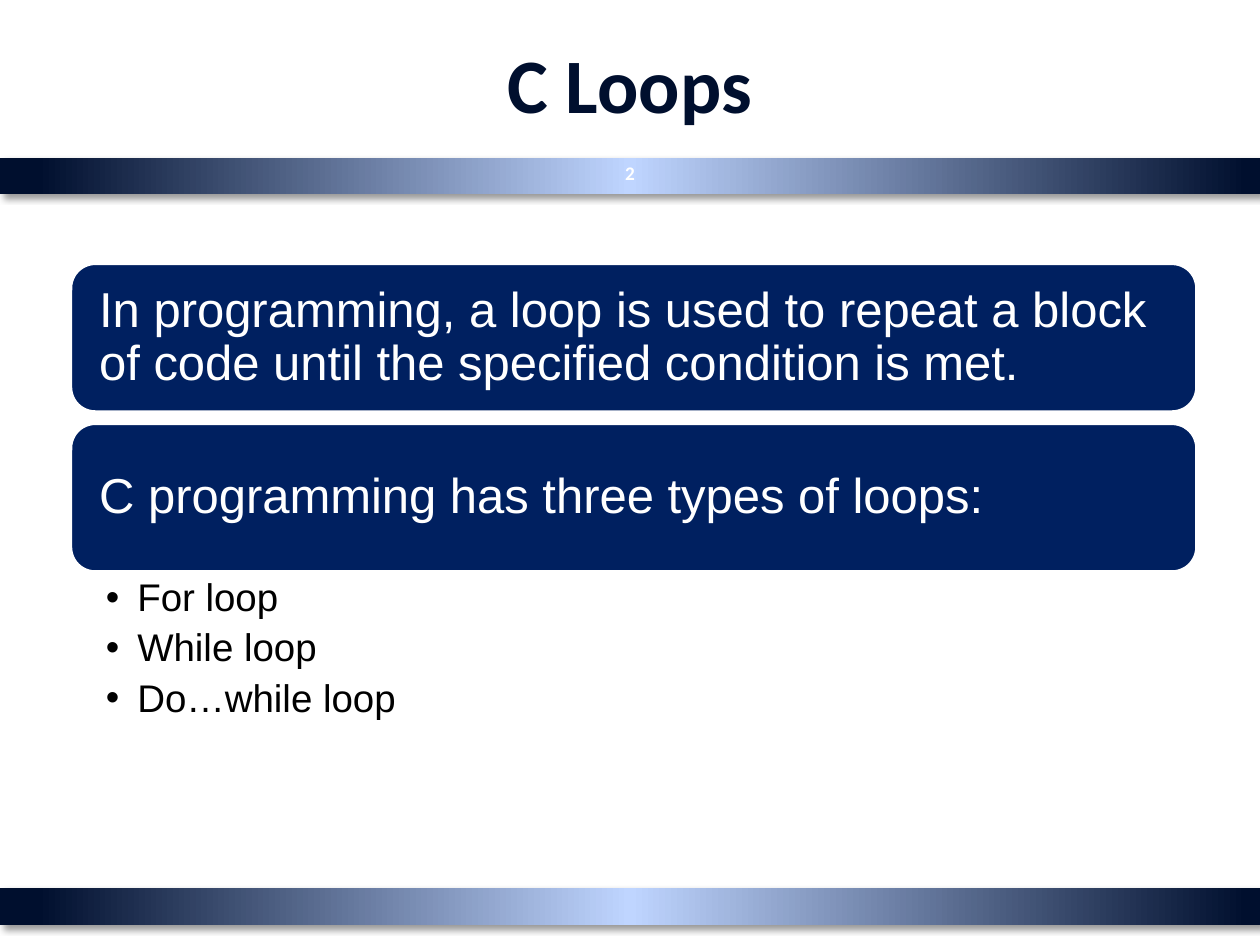
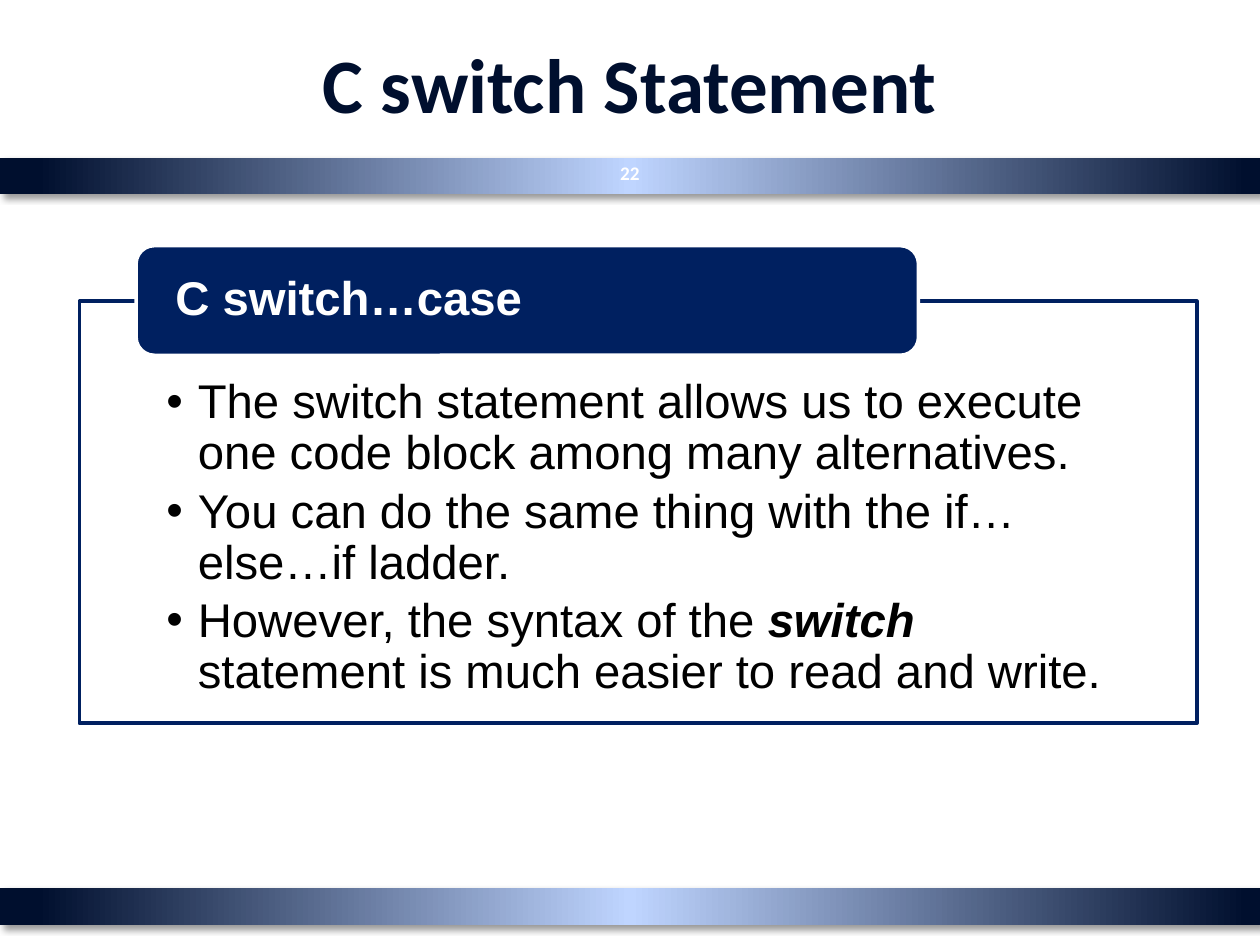
from dataclasses import dataclass

from lxml import etree
from pptx import Presentation
from pptx.dml.color import RGBColor
from pptx.enum.shapes import MSO_SHAPE as Preset
from pptx.enum.text import MSO_ANCHOR as Anchor, MSO_AUTO_SIZE as AutoSize, PP_ALIGN as Align
from pptx.oxml.ns import qn
from pptx.util import Inches, Pt

# Shared look
NAVY, INK, GLOW = "002060", "000F2E", "BFD5FF"
WHITE, BLACK = "FFFFFF", "000000"
HEADING_FONT, TEXT_FONT = "Calibri", "Arial"
BAND_TOPS = (7.05, 1.25)
BAND_STOPS = ((0, INK), (3, INK), (50, GLOW), (99, INK), (100, INK))


@dataclass(frozen=True)
class Box:
    left: float
    top: float
    width: float
    height: float

    def lengths(self) -> tuple:
        return tuple(Inches(n) for n in (self.left, self.top, self.width, self.height))


@dataclass(frozen=True)
class Style:
    size: float
    color: str
    font: str = TEXT_FONT
    bold: bool = False


@dataclass(frozen=True)
class Card:
    text: str
    box: Box
    style: Style
    side_inset: float


@dataclass(frozen=True)
class BulletList:
    items: tuple  # each item is a tuple of runs; a run in *stars* is emphasised
    box: Box
    style: Style
    insets: tuple
    space_after: float
    framed: bool = False


@dataclass(frozen=True)
class Topic:
    title: str
    number: str
    bullets: BulletList
    cards: tuple


def rgb(color: str) -> RGBColor:
    return RGBColor.from_string(color)


def add_run(paragraph, text: str, style: Style, emphasis: bool = False) -> None:
    run = paragraph.add_run()
    run.text = text
    run.font.name = style.font
    run.font.size = Pt(style.size)
    run.font.bold = style.bold or emphasis
    run.font.italic = emphasis
    run.font.color.rgb = rgb(style.color)


def set_frame(frame, insets: tuple, anchor: Anchor) -> None:
    frame.word_wrap = True
    frame.auto_size = AutoSize.NONE
    frame.vertical_anchor = anchor
    (frame.margin_left, frame.margin_top,
     frame.margin_right, frame.margin_bottom) = (Inches(n) for n in insets)


def place(shape, box: Box) -> None:
    shape.left, shape.top, shape.width, shape.height = box.lengths()


def add_color(parent, tag: str, color: str, **attributes: str):
    holder = etree.SubElement(parent, qn(tag), attributes)
    return etree.SubElement(holder, qn("a:srgbClr"), val=color)


def add_band(slide, top: float) -> None:
    band = slide.shapes.add_shape(Preset.RECTANGLE, *Box(0, top, 10, 0.29).lengths())
    band.line.fill.background()
    band.fill.gradient()
    band.fill.gradient_angle = 0
    properties = band._element.spPr
    stops = properties.find(".//" + qn("a:gsLst"))
    for stop in list(stops):
        stops.remove(stop)
    for position, color in BAND_STOPS:
        add_color(stops, "a:gs", color, pos=str(position * 1000))
    # Soft shadow towards the lower right
    effects = etree.SubElement(properties, qn("a:effectLst"))
    shade = add_color(effects, "a:outerShdw", BLACK, blurRad=str(Pt(4)),
                      dist=str(Pt(3)), dir=str(45 * 60000))
    etree.SubElement(shade, qn("a:alpha"), val="40000")


def add_heading(paragraph, text: str, style: Style) -> None:
    paragraph.alignment = Align.CENTER
    add_run(paragraph, text, style)


def add_card(slide, card: Card) -> None:
    panel = slide.shapes.add_shape(Preset.ROUNDED_RECTANGLE, *card.box.lengths())
    panel.shadow.inherit = False
    panel.fill.solid()
    panel.fill.fore_color.rgb = rgb(NAVY)
    panel.line.color.rgb = rgb(WHITE)
    panel.line.width = Pt(2)
    set_frame(panel.text_frame, (card.side_inset, 0.05) * 2, Anchor.MIDDLE)
    paragraph = panel.text_frame.paragraphs[0]
    paragraph.alignment = Align.LEFT
    paragraph.line_spacing = 0.9
    add_run(paragraph, card.text, card.style)


def fill_bullets(body, bullets: BulletList) -> None:
    place(body, bullets.box)
    if bullets.framed:
        body.fill.solid()
        body.fill.fore_color.rgb = rgb(WHITE)
        body.line.color.rgb = rgb(NAVY)
        body.line.width = Pt(2)
    frame = body.text_frame
    set_frame(frame, bullets.insets, Anchor.TOP)
    for index, item in enumerate(bullets.items):
        paragraph = frame.add_paragraph() if index else frame.paragraphs[0]
        paragraph.line_spacing = 0.9
        paragraph.space_before = Pt(0)
        paragraph.space_after = Pt(bullets.space_after)
        indents = paragraph._p.get_or_add_pPr()
        indents.set("marL", str(Inches(0.25)))
        indents.set("indent", str(Inches(-0.25)))
        for text in item:
            add_run(paragraph, text.strip("*"), bullets.style, text.startswith("*"))


def add_topic(deck, topic: Topic) -> None:
    slide = deck.slides.add_slide(deck.slide_layouts[1])
    # Bands and slide number
    for top in BAND_TOPS:
        add_band(slide, top)
    number = slide.shapes.add_textbox(*Box(4.79, 1.17, 0.42, 0.4).lengths())
    set_frame(number.text_frame, (0.1, 0.05) * 2, Anchor.MIDDLE)
    add_heading(number.text_frame.paragraphs[0], topic.number,
                Style(11, WHITE, HEADING_FONT, True))
    # Title
    title = slide.shapes.title
    place(title, Box(0.5, 0.03, 9, 1.25))
    set_frame(title.text_frame, (0.1, 0.05) * 2, Anchor.MIDDLE)
    add_heading(title.text_frame.paragraphs[0], topic.title,
                Style(44, INK, HEADING_FONT, True))
    # Content
    fill_bullets(slide.placeholders[1], topic.bullets)
    for card in topic.cards:
        add_card(slide, card)


LOOP_FACTS = (
    "In programming, a loop is used to repeat a block of code until the specified condition is met.",
    "C programming has three types of loops:",
)

TOPICS = (
    Topic(
        "C Loops", "2",
        BulletList((("For loop",), ("While loop",), ("Do…while loop",)),
                   Box(0.56, 4.55, 8.94, 1.17), Style(22, BLACK),
                   (0.28, 0.04, 0.22, 0.04), 5),
        tuple(Card(fact, Box(0.56, 2.09 + 1.27 * row, 8.94, 1.18), Style(28, WHITE), 0.17)
              for row, fact in enumerate(LOOP_FACTS)),
    ),
    Topic(
        "C switch Statement", "22",
        BulletList((("The switch statement allows us to execute one code block "
                     "among many alternatives.",),
                    ("You can do the same thing with the if…else…if ladder.",),
                    ("However, the syntax of the ", "*switch*",
                     " statement is much easier to read and write.")),
                   Box(0.63, 2.39, 8.87, 3.35), Style(27, BLACK),
                   (0.69, 0.61, 0.69, 0.21), 4, framed=True),
        (Card("C switch…case", Box(1.08, 1.95, 6.21, 0.87),
              Style(27, WHITE, bold=True), 0.27),),
    ),
)


def main() -> None:
    deck = Presentation()
    deck.slide_width, deck.slide_height = Inches(10), Inches(7.5)
    for topic in TOPICS:
        add_topic(deck, topic)
    deck.save("out.pptx")


if __name__ == "__main__":
    main()
